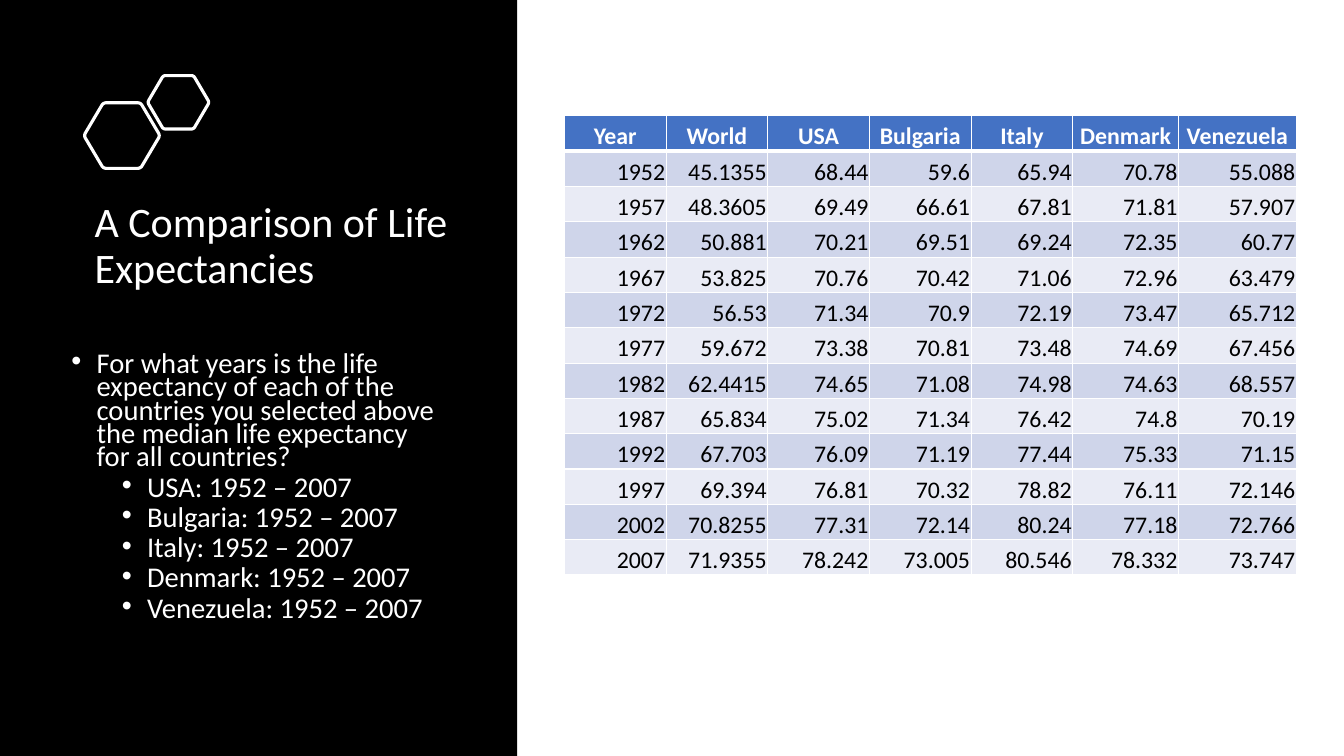
import dataclasses

import lxml.etree
import pptx
import pptx.dml.color
import pptx.enum.shapes
import pptx.enum.text
import pptx.oxml.ns
import pptx.util

SLIDE_WIDTH = pptx.util.Inches(13.33)
SLIDE_HEIGHT = pptx.util.Inches(7.5)
FONT = "Calibri"
WHITE, BLACK = "FFFFFF", "000000"
HEADER_FILL, BAND_FILLS = "4472C4", ("CFD5EA", "E9EBF5")
HEXAGON = ((-0.01, 0.5), (0.25, 0), (0.75, 0), (1.01, 0.5), (0.75, 1), (0.25, 1))
CORNER_SHARE, CORNER_STEPS = 0.08, 6

COLUMN_WEIGHTS = (1.01, 1.01, 1.01, 1.01, 1.01, 1.05, 1.17)
LIFE_EXPECTANCIES = (
    ("Year", "World", "USA", "Bulgaria", "Italy", "Denmark", "Venezuela"),
    (1952, 45.1355, 68.44, 59.6, 65.94, 70.78, 55.088),
    (1957, 48.3605, 69.49, 66.61, 67.81, 71.81, 57.907),
    (1962, 50.881, 70.21, 69.51, 69.24, 72.35, 60.77),
    (1967, 53.825, 70.76, 70.42, 71.06, 72.96, 63.479),
    (1972, 56.53, 71.34, 70.9, 72.19, 73.47, 65.712),
    (1977, 59.672, 73.38, 70.81, 73.48, 74.69, 67.456),
    (1982, 62.4415, 74.65, 71.08, 74.98, 74.63, 68.557),
    (1987, 65.834, 75.02, 71.34, 76.42, 74.8, 70.19),
    (1992, 67.703, 76.09, 71.19, 77.44, 75.33, 71.15),
    (1997, 69.394, 76.81, 70.32, 78.82, 76.11, 72.146),
    (2002, 70.8255, 77.31, 72.14, 80.24, 77.18, 72.766),
    (2007, 71.9355, 78.242, 73.005, 80.546, 78.332, 73.747),
)


@dataclasses.dataclass(frozen=True)
class Area:
    """A rectangle in percent of the slide's width and height."""
    left: float
    top: float
    width: float
    height: float

    def lengths(self) -> tuple[int, int, int, int]:
        return (round(SLIDE_WIDTH * self.left / 100), round(SLIDE_HEIGHT * self.top / 100),
                round(SLIDE_WIDTH * self.width / 100), round(SLIDE_HEIGHT * self.height / 100))


@dataclasses.dataclass(frozen=True)
class Line:
    text: str
    size: float
    spacing: float
    level: int = 0
    before: float = 0
    bullet_margin: float = 0


PANEL = Area(0, 0, 38.48, 100)
TITLE = Area(6.3, 26, 29.4, 21.33)
BODY = Area(4.58, 46.27, 29.4, 40.67)
TABLE = Area(42, 15.33, 54.46, 60.8)
HEXAGON_AREAS = (Area(6.3, 13.6, 5.55, 8.67), Area(11.03, 10, 4.5, 7.07))

TITLE_LINES = (Line("A Comparison of Life Expectancies", 30, 0.9),)
QUESTION = Line("For what years is the life expectancy of each of the countries you selected "
                "above the median life expectancy for all countries?", 20.4, 0.68, bullet_margin=0.25)
ANSWERS = tuple(Line(f"{country}: 1952 – 2007", 20.4, 0.68, 1, 5, 0.75)
                for country in LIFE_EXPECTANCIES[0][2:])


def color(value: str) -> pptx.dml.color.RGBColor:
    return pptx.dml.color.RGBColor.from_string(value)


def add_span(para, text: str, size: float, value: str, bold: bool = False) -> None:
    span = para.add_run()
    span.text = text
    span.font.name, span.font.size, span.font.bold = FONT, pptx.util.Pt(size), bold
    span.font.color.rgb = color(value)


def add_bullet(para, margin: float) -> None:
    properties = para._p.get_or_add_pPr()
    properties.set("marL", str(pptx.util.Inches(margin)))
    properties.set("indent", str(pptx.util.Inches(-0.25)))
    for tag, name, value in (("a:buFont", "typeface", "Arial"), ("a:buChar", "char", "•")):
        lxml.etree.SubElement(properties, pptx.oxml.ns.qn(tag)).set(name, value)


def add_text(slide, area: Area, lines: tuple[Line, ...]) -> None:
    frame = slide.shapes.add_textbox(*area.lengths()).text_frame
    frame.word_wrap = True
    for index, line in enumerate(lines):
        para = frame.add_paragraph() if index else frame.paragraphs[0]
        para.level = line.level
        if line.bullet_margin:
            add_bullet(para, line.bullet_margin)
        para.line_spacing = line.spacing
        para.space_before = pptx.util.Pt(line.before)
        add_span(para, line.text, line.size, WHITE)


def between(start: tuple, end: tuple, share: float) -> tuple:
    return tuple(a + (b - a) * share for a, b in zip(start, end))


def rounded_outline(corners: tuple) -> list[tuple]:
    points = []
    for index, corner in enumerate(corners):
        entry = between(corner, corners[index - 1], CORNER_SHARE)
        leave = between(corner, corners[(index + 1) % len(corners)], CORNER_SHARE)
        for step in range(CORNER_STEPS + 1):
            share = step / CORNER_STEPS
            points.append(between(between(entry, corner, share), between(corner, leave, share), share))
    return points


def add_hexagon(group, area: Area) -> None:
    left, top, width, height = area.lengths()
    points = [(round(left + x * width), round(top + y * height)) for x, y in rounded_outline(HEXAGON)]
    builder = group.shapes.build_freeform(*points[0])
    builder.add_line_segments(points[1:], close=True)
    hexagon = builder.convert_to_shape()
    hexagon.shadow.inherit = False
    hexagon.fill.background()
    hexagon.line.color.rgb = color(WHITE)
    hexagon.line.width = pptx.util.Pt(2.25)


def add_border(cell, side: str, points: float) -> None:
    border = lxml.etree.SubElement(cell._tc.get_or_add_tcPr(), pptx.oxml.ns.qn(f"a:ln{side}"))
    border.set("w", str(pptx.util.Pt(points)))
    fill = lxml.etree.SubElement(border, pptx.oxml.ns.qn("a:solidFill"))
    lxml.etree.SubElement(fill, pptx.oxml.ns.qn("a:srgbClr")).set("val", WHITE)


def fill_cell(cell, row: int, value: str) -> None:
    header = row == 0
    for side in "LRTB":
        thick = (header and side == "B") or (row == 1 and side == "T")
        add_border(cell, side, 3 if thick else 1)
    cell.fill.solid()
    cell.fill.fore_color.rgb = color(HEADER_FILL if header else BAND_FILLS[(row - 1) % 2])
    cell.margin_left = cell.margin_right = cell.margin_top = pptx.util.Inches(0.01)
    cell.margin_bottom = 0
    cell.vertical_anchor = pptx.enum.text.MSO_ANCHOR.BOTTOM
    para = cell.text_frame.paragraphs[0]
    para.alignment = pptx.enum.text.PP_ALIGN.CENTER if header else pptx.enum.text.PP_ALIGN.RIGHT
    add_span(para, value, 17, WHITE if header else BLACK, header)


def add_life_table(slide) -> None:
    left, top, width, height = TABLE.lengths()
    rows = len(LIFE_EXPECTANCIES)
    table = slide.shapes.add_table(rows, len(COLUMN_WEIGHTS), left, top, width, height).table
    for column, weight in zip(table.columns, COLUMN_WEIGHTS):
        column.width = round(width * weight / sum(COLUMN_WEIGHTS))
    for row, values in enumerate(LIFE_EXPECTANCIES):
        table.rows[row].height = round(height / rows)
        for column, value in enumerate(values):
            fill_cell(table.cell(row, column), row, str(value))


def main() -> None:
    """Build the life expectancy slide and save it."""
    deck = pptx.Presentation()
    deck.slide_width, deck.slide_height = SLIDE_WIDTH, SLIDE_HEIGHT
    page = deck.slides.add_slide(deck.slide_layouts[6])
    panel = page.shapes.add_shape(pptx.enum.shapes.MSO_SHAPE.RECTANGLE, *PANEL.lengths())
    panel.shadow.inherit = False
    panel.fill.solid()
    panel.fill.fore_color.rgb = color(BLACK)
    panel.line.fill.background()
    add_text(page, TITLE, TITLE_LINES)
    hexagons = page.shapes.add_group_shape()
    for area in HEXAGON_AREAS:
        add_hexagon(hexagons, area)
    add_text(page, BODY, (QUESTION, *ANSWERS))
    add_life_table(page)
    deck.save("out.pptx")


if __name__ == "__main__":
    main()
